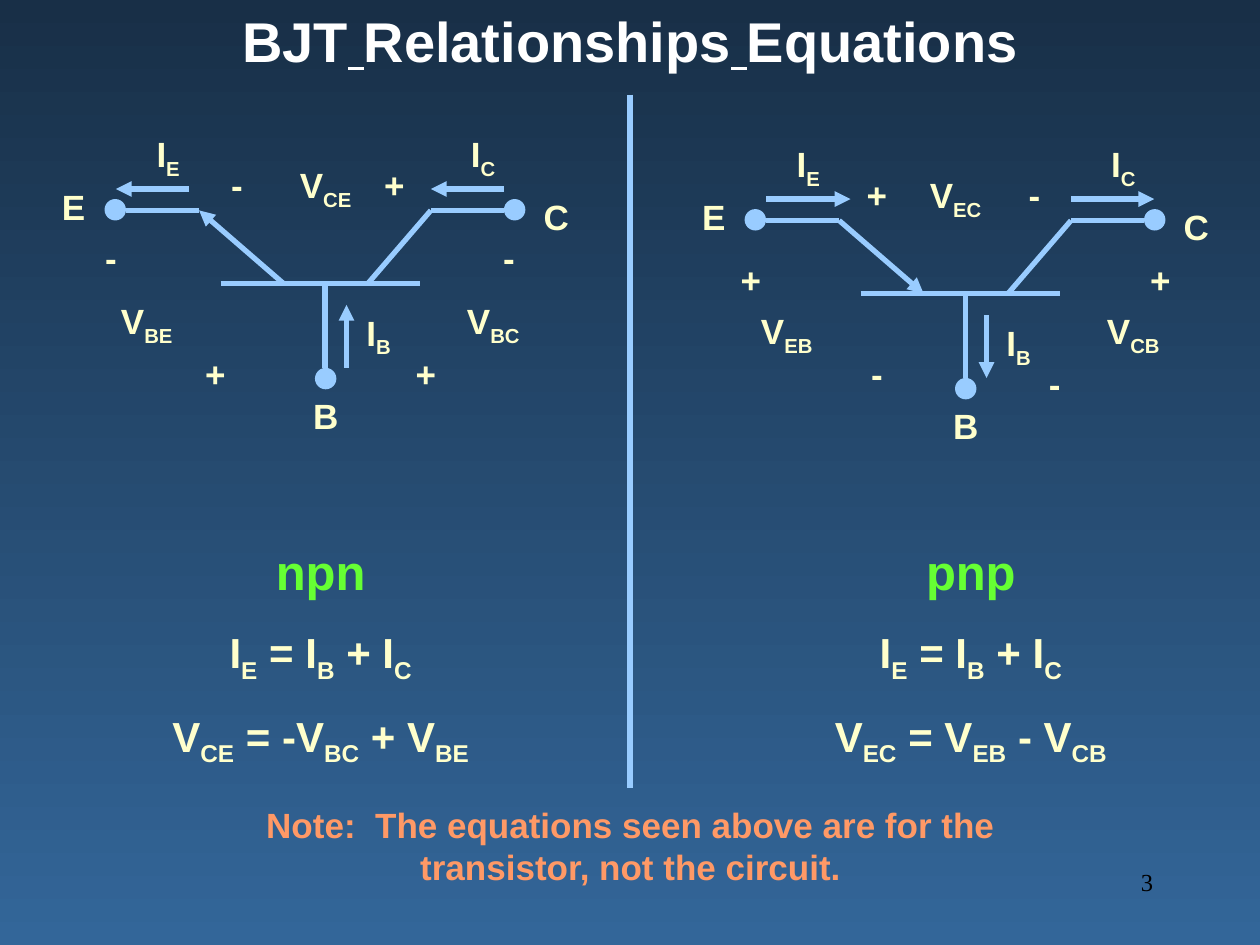
from dataclasses import dataclass
from typing import NamedTuple

from lxml.etree import SubElement
from pptx import Presentation
from pptx.dml.color import RGBColor
from pptx.enum.shapes import MSO_CONNECTOR, MSO_SHAPE
from pptx.enum.text import MSO_AUTO_SIZE, PP_ALIGN
from pptx.oxml.ns import qn
from pptx.util import Inches, Pt


@dataclass(frozen=True)
class Theme:
    top: str = "182F47"
    bottom: str = "336699"
    line: str = "99CCFF"
    title: str = "FFFFFF"
    label: str = "FFFFCC"
    heading: str = "66FF33"
    note: str = "FF9966"
    number: str = "000000"
    font: str = "Arial"
    number_font: str = "Times New Roman"
    title_size: int = 32
    heading_size: int = 28
    equation_size: int = 24
    label_size: int = 20
    number_size: int = 14
    line_width: int = 3


class Wire(NamedTuple):
    x1: float
    y1: float
    x2: float
    y2: float
    arrow: bool = False


class Label(NamedTuple):
    text: str  # every second part between bars is a subscript
    x: float
    y: float
    w: float = 0.67


@dataclass(frozen=True)
class Transistor:
    name: str
    dx: float
    dy: float
    arrows: list[Wire]
    labels: list[Label]
    equations: list[str]
    equations_x: float


T = Theme()
SIGN = 0.42  # width of a polarity sign
DOT = 0.17

# Parts that both transistors share
WIRES = [
    Wire(1.75, 2.25, 3.33, 2.25),
    Wire(1.58, 1.67, 1, 1.67),
    Wire(2.92, 2.25, 3.42, 1.67),
    Wire(4, 1.67, 3.42, 1.67),
    Wire(2.58, 2.25, 2.58, 2.92),
]
TERMINALS = [(2.5, 2.92), (4, 1.58), (0.83, 1.58)]
LABELS = [
    Label("B", 2.25, 3.08), Label("C", 4.08, 1.5), Label("E", 0.25, 1.42),
    Label("I|E", 1, 1), Label("I|C", 3.5, 1), Label("I|B", 2.67, 2.42),
]

# Parts that differ: current directions, voltages and equations
NPN = Transistor(
    "npn", 0, 0,
    [Wire(2.25, 2.25, 1.58, 1.67, True), Wire(1.5, 1.5, 0.92, 1.5, True),
     Wire(4, 1.5, 3.42, 1.5, True), Wire(2.75, 2.92, 2.75, 2.42, True)],
    [Label("V|BE", 0.83, 2.33), Label("V|BC", 3.58, 2.33), Label("V|CE", 2.25, 1.25),
     Label("-", 0.67, 1.83, SIGN), Label("+", 1.5, 2.75, SIGN),
     Label("-", 3.83, 1.83, SIGN), Label("+", 3.17, 2.75, SIGN),
     Label("-", 1.67, 1.25, SIGN), Label("+", 2.92, 1.25, SIGN)],
    ["I|E| = I|B| + I|C", "V|CE| = -V|BC| + V|BE"], 0.42,
)
PNP = Transistor(
    "pnp", 5.08, 0.08,
    [Wire(1.58, 1.67, 2.25, 2.25, True), Wire(1, 1.5, 1.67, 1.5, True),
     Wire(3.42, 1.5, 4.08, 1.5, True), Wire(2.75, 2.42, 2.75, 2.92, True)],
    [Label("V|EB", 0.83, 2.33), Label("V|CB", 3.58, 2.33), Label("V|EC", 2.17, 1.25),
     Label("+", 0.67, 1.92, SIGN), Label("-", 1.67, 2.67, SIGN),
     Label("+", 3.92, 1.92, SIGN), Label("-", 3.08, 2.75, SIGN),
     Label("+", 1.67, 1.25, SIGN), Label("-", 2.92, 1.25, SIGN)],
    ["I|E| = I|B| + I|C", "V|EC| = V|EB| - V|CB"], 5.58,
)


def add_box(s, x: float, y: float, w: float, h: float):
    tf = s.shapes.add_textbox(Inches(x), Inches(y), Inches(w), Inches(h)).text_frame
    tf.word_wrap = True
    tf.auto_size = MSO_AUTO_SIZE.SHAPE_TO_FIT_TEXT
    return tf


def style(p, size: int, color: str, font: str = T.font, bold: bool = True,
          align=PP_ALIGN.CENTER) -> None:
    p.alignment = align
    for r in p.runs:
        r.font.name, r.font.size, r.font.bold = font, Pt(size), bold
        r.font.color.rgb = RGBColor.from_string(color)


def write_formula(p, text: str, size: int) -> None:
    for i, part in enumerate(text.split("|")):
        r = p.add_run()
        r.text = part
        if i % 2:
            r.font._element.set("baseline", "-25000")
    style(p, size, T.label)


def add_wire(s, wire: Wire, dx: float = 0, dy: float = 0) -> None:
    c = s.shapes.add_connector(
        MSO_CONNECTOR.STRAIGHT, Inches(wire.x1 + dx), Inches(wire.y1 + dy),
        Inches(wire.x2 + dx), Inches(wire.y2 + dy))
    c.line.color.rgb = RGBColor.from_string(T.line)
    c.line.width = Pt(T.line_width)
    if wire.arrow:
        SubElement(c.line._get_or_add_ln(), qn("a:tailEnd"), type="triangle")
    SubElement(c._element.spPr, qn("a:effectLst"))


def add_terminal(s, x: float, y: float) -> None:
    sp = s.shapes.add_shape(MSO_SHAPE.OVAL, Inches(x), Inches(y), Inches(DOT), Inches(DOT))
    sp.shadow.inherit = False
    sp.fill.solid()
    sp.fill.fore_color.rgb = RGBColor.from_string(T.line)
    sp.line.fill.background()


def add_transistor(s, t: Transistor) -> None:
    for wire in WIRES + t.arrows:
        add_wire(s, wire, t.dx, t.dy)
    for x, y in TERMINALS:
        add_terminal(s, x + t.dx, y + t.dy)
    for label in LABELS + t.labels:
        height = 0.48 if "|" in label.text else 0.44
        tf = add_box(s, label.x + t.dx, label.y + t.dy, label.w, height)
        write_formula(tf.paragraphs[0], label.text, T.label_size)

    # Name and equations
    tf = add_box(s, t.equations_x, 4.25, 4.25, 1.9)
    tf.text = t.name
    style(tf.paragraphs[0], T.heading_size, T.heading)
    for equation in t.equations:
        p = tf.add_paragraph()
        p.space_before = Pt(15)
        write_formula(p, equation, T.equation_size)


def main() -> None:
    prs = Presentation()
    prs.slide_width, prs.slide_height = Inches(10), Inches(7.5)
    s = prs.slides.add_slide(prs.slide_layouts[6])

    # Background
    fill = s.background.fill
    fill.gradient()
    fill.gradient_angle = 270
    for stop, color, position in zip(fill.gradient_stops, (T.top, T.bottom), (0, 1)):
        stop.color.rgb = RGBColor.from_string(color)
        stop.position = position

    # Title with underlined gaps
    p = add_box(s, 1, 0, 8, 0.64).paragraphs[0]
    for text in ("BJT", " ", "Relationships", " ", "Equations"):
        r = p.add_run()
        r.text = text
        r.font.underline = text == " "
    style(p, T.title_size, T.title)

    # Two halves and the divider
    for transistor in (NPN, PNP):
        add_transistor(s, transistor)
    add_wire(s, Wire(5, 0.75, 5, 6.25))

    # Note and slide number
    tf = add_box(s, 1.92, 6.33, 6.17, 0.77)
    tf.text = "Note:  The equations seen above are for the transistor, not the circuit."
    style(tf.paragraphs[0], T.label_size, T.note)
    tf = add_box(s, 7.17, 6.83, 2.08, 0.5)
    tf.auto_size = MSO_AUTO_SIZE.NONE
    tf.text = "3"
    style(tf.paragraphs[0], T.number_size, T.number, T.number_font, False, PP_ALIGN.RIGHT)

    prs.save("out.pptx")


if __name__ == "__main__":
    main()
